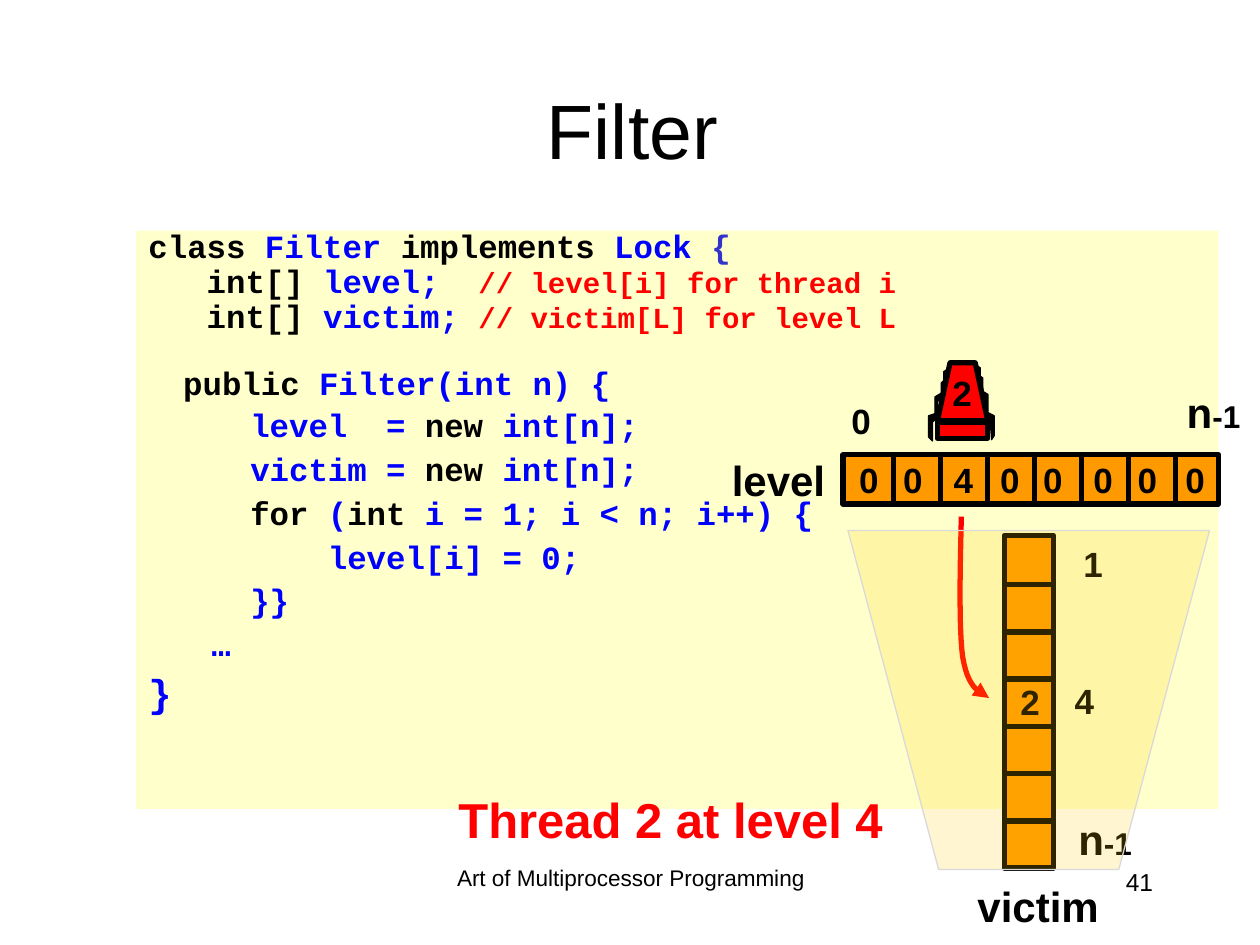
from lxml import etree
from pptx import Presentation
from pptx.dml.color import RGBColor
from pptx.enum.shapes import MSO_CONNECTOR, MSO_SHAPE
from pptx.enum.text import MSO_ANCHOR, MSO_AUTO_SIZE, PP_ALIGN
from pptx.oxml.ns import qn
from pptx.util import Inches, Pt

STRAIGHT = MSO_CONNECTOR.STRAIGHT
RECT = MSO_SHAPE.RECTANGLE
LEFT, CENTER, RIGHT = PP_ALIGN.LEFT, PP_ALIGN.CENTER, PP_ALIGN.RIGHT
TOP, MIDDLE = MSO_ANCHOR.TOP, MSO_ANCHOR.MIDDLE
NO_GROW, GROW = MSO_AUTO_SIZE.NONE, MSO_AUTO_SIZE.SHAPE_TO_FIT_TEXT
HEX = {"black": "000000", "blue": "0000FF", "indigo": "3333CC", "red": "FF0000",
       "cream": "FFFFCC", "orange": "FF9900", "gold": "FFCC00", "grey": "D9D9D9"}
COLORS = {name: RGBColor.from_string(value) for name, value in HEX.items()}


def add_label(x, y, w, h, runs, size, bold=True, color="black", align=LEFT, wrap=False):
    tf = s.shapes.add_textbox(Inches(x), Inches(y), Inches(w), Inches(h)).text_frame
    tf.word_wrap = wrap
    tf.auto_size = NO_GROW if wrap else GROW
    p = tf.paragraphs[0]
    p.alignment = align
    p.font.name, p.font.size, p.font.bold = "Arial", Pt(size), bold
    p.font.color.rgb = COLORS[color]
    for text, run_size in runs:
        r = p.add_run()
        r.text = text
        if run_size != size:
            r.font.size = Pt(run_size)
    return p


def style(sp, fill, line, width):
    sp.shadow.inherit = False
    if fill:
        sp.fill.solid()
        sp.fill.fore_color.rgb = COLORS[fill]
    else:
        sp.fill.background()
    if line:
        sp.line.color.rgb = COLORS[line]
        sp.line.width = Pt(width)
    else:
        sp.line.fill.background()


prs = Presentation()
prs.slide_width, prs.slide_height = Inches(10), Inches(7.5)
s = prs.slides.add_slide(prs.slide_layouts[5])

add_label(3.42, 6.83, 3.17, 0.5, [("Art of Multiprocessor Programming", 12.9)], 12.9,
          bold=False, align=CENTER, wrap=True).line_spacing = 0.9
add_label(7.17, 6.83, 2.08, 0.5, [("41", 14)], 14, bold=False, align=RIGHT, wrap=True)

title = s.shapes.title
title.left, title.top = Inches(0.77), Inches(0.4)
title.width, title.height = Inches(8.5), Inches(1.25)
title.text_frame.text = "Filter"
title.text_frame.vertical_anchor = MIDDLE
p = title.text_frame.paragraphs[0]
p.alignment = CENTER
p.font.name, p.font.size = "Arial", Pt(44)
p.font.color.rgb = COLORS["black"]

code = [
    (0.25, 0.7, 0, 18.5, [("class ", "black"), ("Filter ", "blue"), ("implements ", "black"),
                          ("Lock ", "blue"), ("{", "indigo")]),
    (0.25, 0.7, 4.5, 18.5, [("   int[] ", "black"), ("level;  ", "blue"),
                            ("// level[i] for thread i", "red")]),
    (0.25, 0.7, 4.5, 18.5, [("   int[] ", "black"), ("victim; ", "blue"),
                            ("// victim[L] for level L", "red")]),
    (0.25, 0.7, 22.7, 18.5, [("  ", "red"), ("public", "black"), (" Filter(int n) {", "blue")]),
    (0.75, 0.9, 5, 18.5, [("  level  = ", "blue"), ("new", "black"), (" int[n];", "blue")]),
    (0.75, 0.9, 5, 18.5, [("  victim = ", "blue"), ("new", "black"), (" int[n];", "blue")]),
    (0.75, 0.9, 5, 18.5, [("  ", "blue"), ("for ", "black"), ("(", "blue"), ("int ", "black"),
                          ("i = 1; i < n; i++) {", "blue")]),
    (0.75, 0.9, 5, 18.5, [("      level[i] = 0;", "blue")]),
    (0.75, 0.9, 5, 18.5, [("  }}", "blue")]),
    (0.75, 0.9, 5, 18.5, [("…", "blue")]),
    (0.25, 0.9, 6, 22.2, [("}", "blue")]),
]
sp = s.shapes.add_shape(RECT, Inches(1.08), Inches(1.83), Inches(8.59), Inches(4.59))
style(sp, "cream", None, 0)
tf = sp.text_frame
tf.word_wrap = True
tf.vertical_anchor = TOP
for i, (margin, spacing, before, size, runs) in enumerate(code):
    p = tf.add_paragraph() if i else tf.paragraphs[0]
    p.alignment = LEFT
    p.line_spacing, p.space_before = spacing, Pt(before)
    pPr = p._p.get_or_add_pPr()
    pPr.set("marL", str(Inches(margin)))
    pPr.set("indent", str(Inches(-0.25)))
    p.font.name, p.font.size, p.font.bold = "Courier New", Pt(size), True
    for text, color in runs:
        r = p.add_run()
        r.text = text
        r.font.color.rgb = COLORS[color]
        if color == "red":
            r.font.size = Pt(16.6)

add_label(5.71, 3.56, 0.94, 0.5, [("level", 24)], 24)
add_label(7.66, 6.94, 1.16, 0.5, [("victim", 24)], 24)
for x, y in [(9.32, 3.02), (8.46, 6.41)]:
    add_label(x, y, 0.66, 0.5, [("n", 24), ("-1", 18)], 24)

for x, y, w, h in [(7.97, 4.25, 0.39, 2.64), (6.69, 3.61, 2.98, 0.39)]:
    style(s.shapes.add_shape(RECT, Inches(x), Inches(y), Inches(w), Inches(h)),
          "orange", "black", 3)
dividers = [(7.97, 4.64 + 0.375 * i, 8.36, 4.64 + 0.375 * i) for i in range(6)]
dividers += [(7.09 + 0.373 * i, 4, 7.09 + 0.373 * i, 3.61) for i in range(7)]
for ends in dividers:
    divider = s.shapes.add_connector(STRAIGHT, *[Inches(v) for v in ends])
    divider.line.color.rgb = COLORS["black"]
    divider.line.width = Pt(3)
    etree.SubElement(divider._element.spPr, qn("a:effectLst"))

cell_lefts = [6.72, 7.07, 7.47, 7.84, 8.18, 8.58, 8.93, 9.31]
digits = [(x, 3.59, d) for x, d in zip(cell_lefts, "00400000")]
digits += [(6.66, 3.12, "0"), (8.5, 4.26, "1"), (8.43, 5.34, "4"), (8, 5.35, "2")]
for x, y, digit in digits:
    add_label(x, y, 0.36, 0.44, [(digit, 20)], 20)

edges = [
    [(7.81, 3.26), (7.89, 3.3), (7.89, 3.46), (7.87, 3.49), (7.86, 3.35), (7.81, 3.3)],
    [(7.79, 3.1), (7.84, 3.13), (7.84, 3.26), (7.82, 3.29), (7.82, 3.17), (7.79, 3.14)],
    [(7.77, 2.98), (7.8, 3), (7.8, 3.1), (7.79, 3.12), (7.79, 3.03), (7.77, 3)],
    [(7.75, 2.9), (7.78, 2.92), (7.78, 3.02), (7.77, 3.03), (7.77, 2.95), (7.75, 2.93)],
    [(7.46, 3.27), (7.37, 3.3), (7.37, 3.47), (7.4, 3.5), (7.4, 3.35), (7.45, 3.31)],
    [(7.47, 3.12), (7.42, 3.15), (7.42, 3.28), (7.44, 3.3), (7.44, 3.19), (7.47, 3.15)],
    [(7.52, 2.93), (7.49, 2.95), (7.49, 3.06), (7.5, 3.08), (7.5, 2.99), (7.52, 2.96)],
    [(7.49, 3.02), (7.47, 3.04), (7.47, 3.13), (7.48, 3.15), (7.48, 3.07), (7.49, 3.04)],
]
body = [(7.44, 3.34), (7.54, 2.88), (7.74, 2.88), (7.84, 3.34)]
funnel = [(6.73, 4.21), (7.45, 6.9), (8.88, 6.9), (9.6, 4.21)]
curves = [[(7.63, 4.1), (7.62, 4.54), (7.61, 4.97), (7.64, 5.21)],
          [(7.64, 5.21), (7.68, 5.45), (7.76, 5.49), (7.85, 5.54)]]
arrow = [curves[0][0]]
for curve in curves:
    for step in range(1, 13):
        t = step / 12
        weights = [(1 - t) ** 3, 3 * t * (1 - t) ** 2, 3 * t ** 2 * (1 - t), t ** 3]
        arrow.append(tuple(sum(k * c for k, c in zip(weights, axis)) for axis in zip(*curve)))

outlines = [(points, True, "black", "black", 0.75) for points in edges]
outlines += [(body, True, "red", "black", 3), (arrow, False, None, "red", 3),
             (funnel, True, "gold", "grey", 0.75)]
for points, closed, fill, line, width in outlines:
    corners = [(Inches(x), Inches(y)) for x, y in points]
    builder = s.shapes.build_freeform(*corners[0])
    builder.add_line_segments(corners[1:], close=closed)
    sp = builder.convert_to_shape()
    style(sp, fill, line, width)
    if points is body:
        base = s.shapes.add_shape(RECT, Inches(7.44), Inches(3.35), Inches(0.4), Inches(0.13))
        style(base, "red", "black", 3)
        add_label(7.46, 2.9, 0.36, 0.44, [("2", 20)], 20)
        add_label(3.54, 6.22, 3.66, 0.57, [("Thread 2 at level 4", 28)], 28, color="red")
    elif points is arrow:
        etree.SubElement(sp._element.spPr.find(qn("a:ln")), qn("a:tailEnd"), type="triangle")
    elif points is funnel:
        color = sp._element.spPr.find(qn("a:solidFill"))[0]
        etree.SubElement(color, qn("a:alpha"), val="18000")

prs.save("out.pptx")
